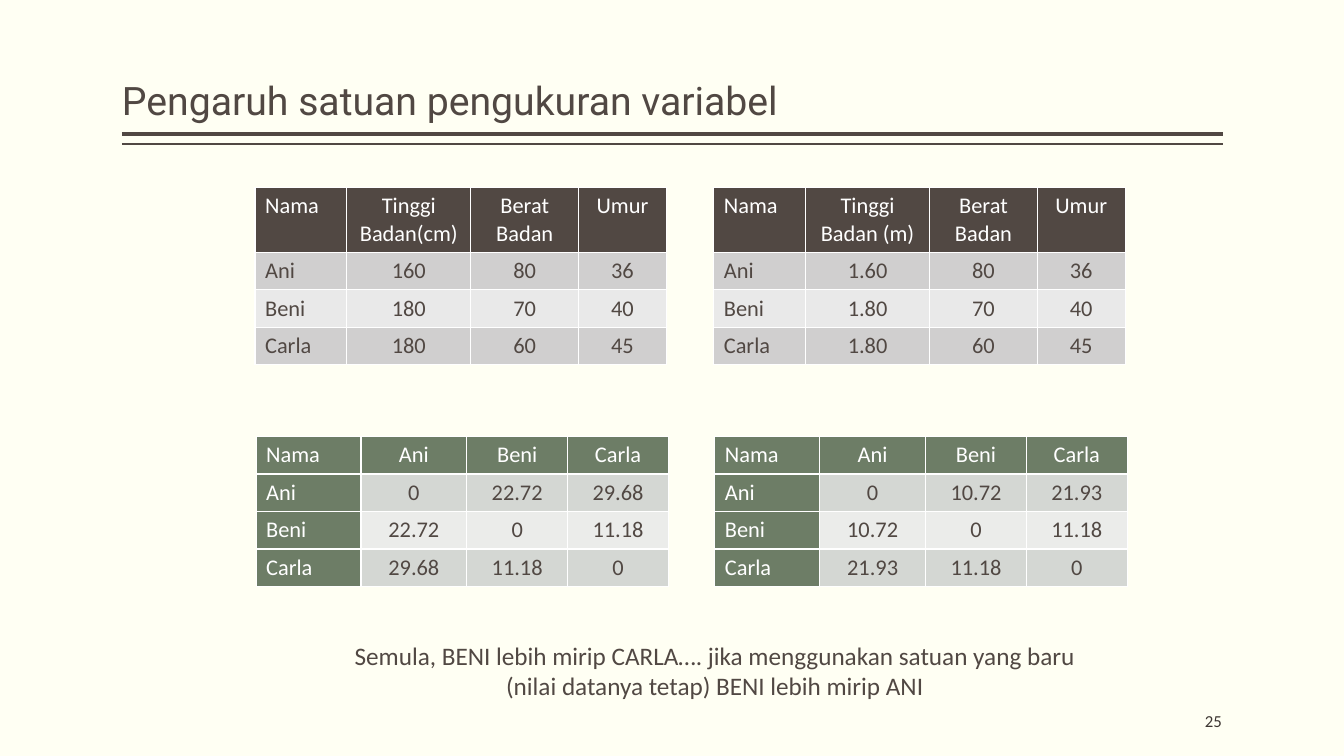
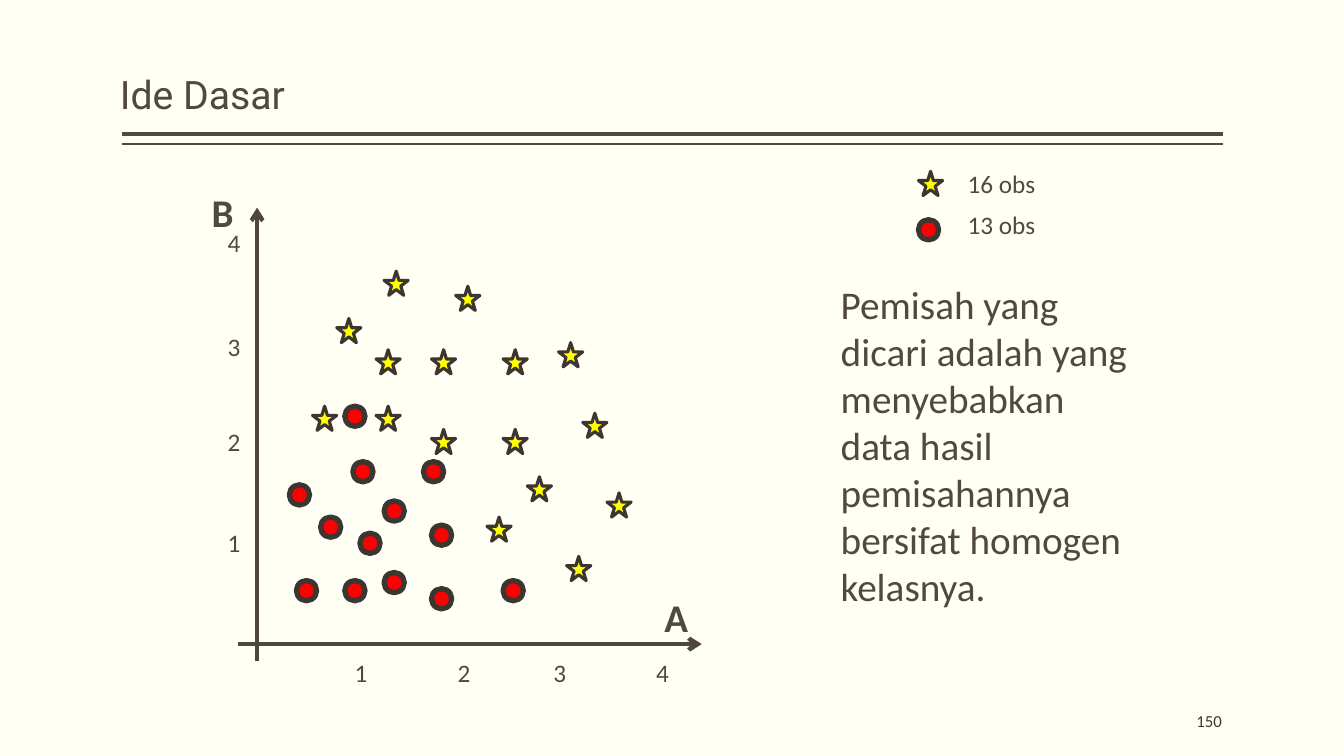
from lxml.etree import SubElement
from pptx import Presentation
from pptx.dml.color import RGBColor
from pptx.enum.shapes import MSO_CONNECTOR, MSO_SHAPE
from pptx.enum.text import MSO_ANCHOR, PP_ALIGN
from pptx.oxml.ns import qn
from pptx.util import Inches, Pt

BROWN = "514843"
AXIS = "504641"
OUTLINE = "3C3532"
NUMBER = "3D3632"
GREEN = "6D7D66"
WHITE = "FFFFFF"


def rgb(value):
    return RGBColor.from_string(value)


def write(frame, text, size=18, color=BROWN, font="Calibri", bold=False,
          align=PP_ALIGN.LEFT, anchor=MSO_ANCHOR.TOP, side=0.1, spacing=None):
    frame.word_wrap = True
    frame.vertical_anchor = anchor
    frame.margin_left = frame.margin_right = Inches(side)
    paragraph = frame.paragraphs[0]
    paragraph.alignment = align
    paragraph.line_spacing = spacing
    run = paragraph.add_run()
    run.text = text
    run.font.size = Pt(size)
    run.font.name = font
    run.font.bold = bold
    run.font.color.rgb = rgb(color)


prs = Presentation()
prs.slide_width = Inches(13.33)
prs.slide_height = Inches(7.5)
blank = prs.slide_layouts[6]
units = prs.slides.add_slide(blank)
idea = prs.slides.add_slide(blank)

lines = [
    (idea, 2.55, 6.56, 2.55, 2.06, 3, AXIS, True),
    (idea, 2.36, 6.39, 6.96, 6.39, 3, AXIS, True),
]
texts = []

for slide, title, title_box, number in [
    (units, "Pengaruh satuan pengukuran variabel", (1.21, 0.08, 10.92, 1.2), "25"),
    (idea, "Ide Dasar", (1.19, 0.39, 8.62, 0.83), "150"),
]:
    slide.background.fill.solid()
    slide.background.fill.fore_color.rgb = rgb("FFFFF3")
    lines += [
        (slide, 1.21, 1.33, 12.13, 1.33, 3, BROWN, False),
        (slide, 1.21, 1.43, 12.13, 1.43, 1, BROWN, False),
    ]
    texts += [
        (slide, title_box, title, dict(size=28, font="Roboto", side=0, spacing=0.9,
                                       anchor=MSO_ANCHOR.BOTTOM)),
        (slide, (10.12, 6.95, 2, 0.4), number,
         dict(size=12, color=NUMBER, side=0, align=PP_ALIGN.RIGHT, anchor=MSO_ANCHOR.MIDDLE)),
    ]

for slide, x1, y1, x2, y2, width, color, arrow in lines:
    connector = slide.shapes.add_connector(
        MSO_CONNECTOR.STRAIGHT, Inches(x1), Inches(y1), Inches(x2), Inches(y2))
    connector.line.color.rgb = rgb(color)
    connector.line.width = Pt(width)
    if arrow:
        SubElement(connector.line._get_or_add_ln(), qn("a:tailEnd"), type="arrow")
    SubElement(connector._element.spPr, qn("a:effectLst"))

data_widths = [0.91, 1.23, 1.07, 0.87]
distance_widths = [1.04, 1.05, 1, 1]
data_bands = ["D0CFCF", "E9E9E9"]
distance_bands = ["D4D7D3", "EBECEA"]

for left, top, widths, header_height, header_fill, bands, named_rows, rows in [
    (2.53, 1.86, data_widths, 0.64, BROWN, data_bands, False, [
        ["Nama", "Tinggi Badan(cm)", "Berat Badan", "Umur"],
        ["Ani", "160", "80", "36"],
        ["Beni", "180", "70", "40"],
        ["Carla", "180", "60", "45"]]),
    (2.54, 4.33, distance_widths, 0.37, GREEN, distance_bands, True, [
        ["Nama", "Ani", "Beni", "Carla"],
        ["Ani", "0", "22.72", "29.68"],
        ["Beni", "22.72", "0", "11.18"],
        ["Carla", "29.68", "11.18", "0"]]),
    (7.08, 1.86, data_widths, 0.64, BROWN, data_bands, False, [
        ["Nama", "Tinggi Badan (m)", "Berat Badan", "Umur"],
        ["Ani", "1.60", "80", "36"],
        ["Beni", "1.80", "70", "40"],
        ["Carla", "1.80", "60", "45"]]),
    (7.09, 4.33, distance_widths, 0.37, GREEN, distance_bands, True, [
        ["Nama", "Ani", "Beni", "Carla"],
        ["Ani", "0", "10.72", "21.93"],
        ["Beni", "10.72", "0", "11.18"],
        ["Carla", "21.93", "11.18", "0"]]),
]:
    heights = [header_height] + [0.37] * 3
    table = units.shapes.add_table(
        len(rows), len(widths), Inches(left), Inches(top),
        Inches(sum(widths)), Inches(sum(heights))).table
    table.first_col = named_rows
    for column, width in zip(table.columns, widths):
        column.width = Inches(width)
    for r, values in enumerate(rows):
        table.rows[r].height = Inches(heights[r])
        for c, value in enumerate(values):
            cell = table.cell(r, c)
            heading = r == 0 or (named_rows and c == 0)
            write(cell.text_frame, value, size=16, color=WHITE if heading else BROWN,
                  align=PP_ALIGN.CENTER if c else PP_ALIGN.LEFT)
            properties = cell._tc.get_or_add_tcPr()
            for edge in ["a:lnL", "a:lnR", "a:lnT", "a:lnB"]:
                border = SubElement(properties, qn(edge), w=str(Pt(1)))
                SubElement(SubElement(border, qn("a:solidFill")), qn("a:srgbClr"), val=WHITE)
            cell.fill.solid()
            cell.fill.fore_color.rgb = rgb(header_fill if heading else bands[(r - 1) % 2])

star_points = [
    (9.11, 1.7), (3.81, 2.69), (3.34, 3.16), (4.28, 3.47), (4.52, 2.84), (5.54, 3.4),
    (4.28, 4.26), (4.99, 3.47), (5.23, 4.73), (4.99, 4.26), (5.78, 4.1), (4.83, 5.13),
    (6.02, 4.89), (3.73, 4.03), (3.1, 4.03), (3.73, 3.47), (5.62, 5.52),
]
circle_points = [
    (9.11, 2.18), (3.5, 4.58), (4.2, 4.58), (3.81, 4.97), (3.18, 5.13), (3.81, 5.68),
    (4.28, 5.21), (3.57, 5.29), (4.99, 5.76), (4.28, 5.84), (3.42, 4.03), (2.87, 4.81),
    (3.42, 5.76), (2.94, 5.76),
]
for points, preset, size, fill, weight in [
    (star_points, MSO_SHAPE.STAR_5_POINT, 0.24, "FFFF00", 2.25),
    (circle_points, MSO_SHAPE.FLOWCHART_CONNECTOR, 0.2, "FF0000", 3.78),
]:
    for x, y in points:
        marker = idea.shapes.add_shape(preset, Inches(x), Inches(y), Inches(size), Inches(size))
        marker.shadow.inherit = False
        marker.fill.solid()
        marker.fill.fore_color.rgb = rgb(fill)
        marker.line.color.rgb = rgb(OUTLINE)
        marker.line.width = Pt(weight)

texts += [
    (units, (3.15, 6.3, 7.88, 0.71),
     "Semula, BENI lebih mirip CARLA…. jika menggunakan satuan yang baru "
     "(nilai datanya tetap) BENI lebih mirip ANI", dict(align=PP_ALIGN.CENTER)),
    (idea, (9.5, 1.62, 1.1, 0.4), "16 obs", {}),
    (idea, (9.5, 2.03, 1.1, 0.4), "13 obs", {}),
    (idea, (8.24, 2.73, 3.15, 4.34),
     "Pemisah yang dicari adalah yang menyebabkan data hasil pemisahannya "
     "bersifat homogen kelasnya.", dict(size=28)),
    (idea, (2, 1.82, 0.47, 0.57), "B", dict(size=28, bold=True)),
    (idea, (6.49, 5.84, 0.47, 0.57), "A", dict(size=28, bold=True)),
]
tick_tops = [5.18, 4.18, 3.24, 2.21]
tick_lefts = [3.42, 4.44, 5.39, 6.41]
for tick, (left, top) in enumerate(zip(tick_lefts, tick_tops), start=1):
    texts += [
        (idea, (2.16, top, 0.24, 0.4), str(tick), {}),
        (idea, (left, 6.47, 0.24, 0.4), str(tick), {}),
    ]

for slide, box, text, style in texts:
    write(slide.shapes.add_textbox(*map(Inches, box)).text_frame, text, **style)

prs.save("out.pptx")
